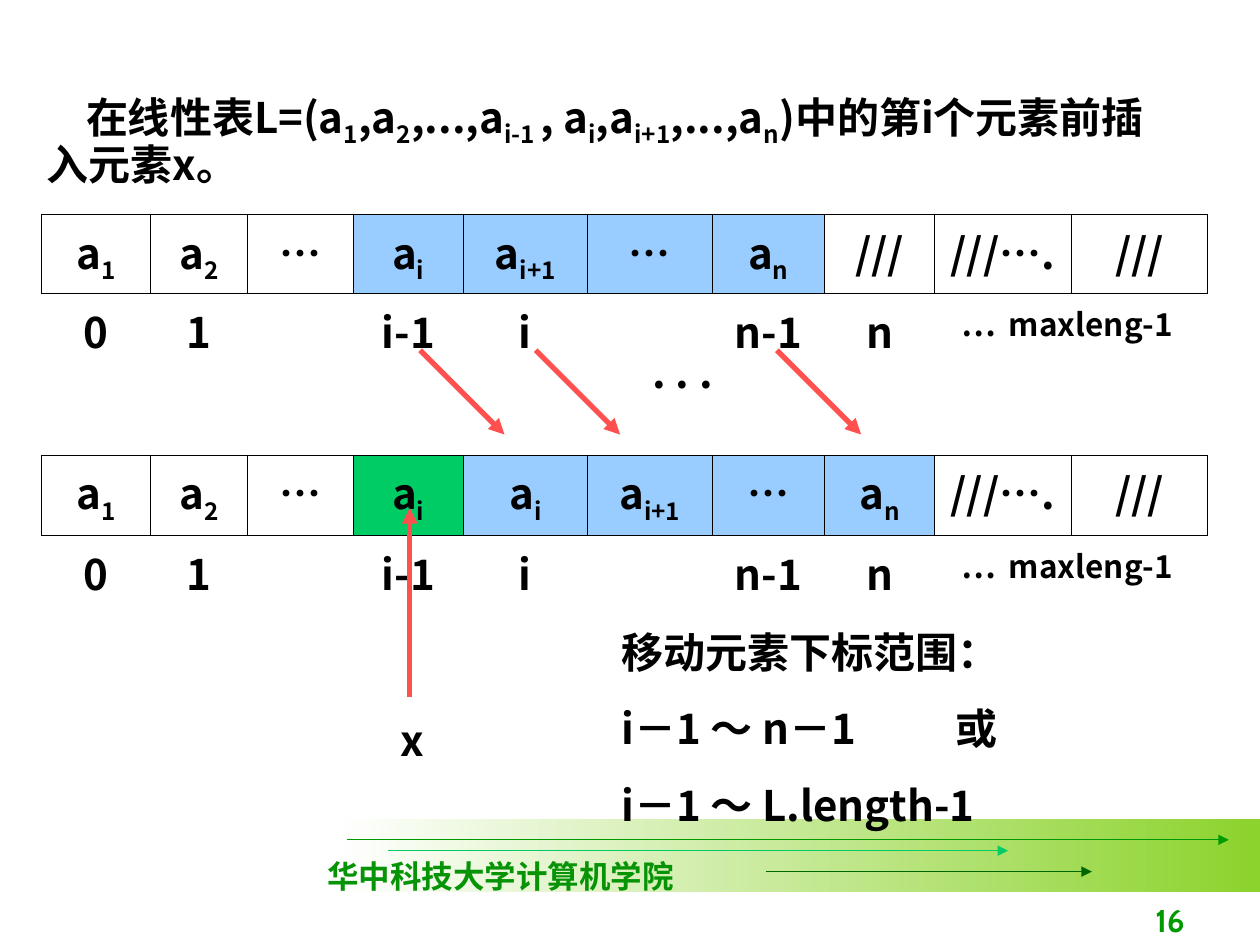
from dataclasses import dataclass
from typing import Optional

from lxml import etree
from pptx import Presentation
from pptx.dml.color import RGBColor
from pptx.enum.shapes import MSO_CONNECTOR, MSO_SHAPE
from pptx.enum.text import MSO_ANCHOR, MSO_AUTO_SIZE, PP_ALIGN
from pptx.oxml.ns import qn
from pptx.util import Cm, Pt

LEFT, MID, RIGHT = PP_ALIGN.LEFT, PP_ALIGN.CENTER, PP_ALIGN.RIGHT
TOP, LOW = MSO_ANCHOR.TOP, MSO_ANCHOR.BOTTOM
STRAIGHT, RECT = MSO_CONNECTOR.STRAIGHT, MSO_SHAPE.RECTANGLE
FIXED = MSO_AUTO_SIZE.NONE

SANS = "Noto Sans CJK SC"
BLACK, WHITE, BLUE, GREEN, RED = "000000", "FFFFFF", "99CCFF", "00CC66", "FF5050"


@dataclass
class Arrow:
    x1: float
    y1: float
    x2: float
    y2: float
    color: str = RED
    width: float = 3


@dataclass
class Style:
    size: float = 24
    color: str = BLACK
    face: str = SANS
    align: PP_ALIGN = LEFT
    tab: Optional[float] = None


@dataclass
class Note:
    box: tuple
    lines: list
    style: Style
    anchor: MSO_ANCHOR = TOP
    wrap: bool = True


@dataclass
class Array:
    top: float
    heights: tuple
    items: list
    fills: list


def rgb(code: str) -> RGBColor:
    return RGBColor.from_string(code)


def put(obj, values: dict) -> None:
    for name, value in values.items():
        setattr(obj, name, value)


def write(para, text: str, style: Style) -> None:
    """Fill a paragraph; every second part between bars is a subscript."""
    para.alignment = style.align
    if style.tab is not None:
        stops = etree.SubElement(para._p.get_or_add_pPr(), qn("a:tabLst"))
        etree.SubElement(stops, qn("a:tab"), pos=str(Cm(style.tab)), algn="l")
    for n, part in enumerate(text.split("|")):
        if not part:
            continue
        run = para.add_run()
        run.text = part
        put(run.font, {"size": Pt(style.size), "bold": True, "name": style.face})
        run.font.color.rgb = rgb(style.color)
        props = run._r.get_or_add_rPr()
        etree.SubElement(props, qn("a:ea"), typeface=SANS)
        if n % 2:
            props.set("baseline", "-25000")


def place(shape, box: tuple) -> None:
    put(shape, dict(zip(("left", "top", "width", "height"), map(Cm, box))))


def add_note(slide, note: Note) -> None:
    frame = slide.shapes.add_textbox(*map(Cm, note.box)).text_frame
    put(frame, {"word_wrap": note.wrap, "vertical_anchor": note.anchor})
    for n, line in enumerate(note.lines):
        para = frame.add_paragraph() if n else frame.paragraphs[0]
        if n:
            para.space_before = Pt(15)
        write(para, line, note.style)


def add_arrow(slide, arrow: Arrow) -> None:
    ends = map(Cm, (arrow.x1, arrow.y1, arrow.x2, arrow.y2))
    line = slide.shapes.add_connector(STRAIGHT, *ends)
    line.line.color.rgb = rgb(arrow.color)
    line.line.width = Pt(arrow.width)
    etree.SubElement(line.line._get_or_add_ln(), qn("a:tailEnd"), type="triangle")
    etree.SubElement(line._element.spPr, qn("a:effectLst"))


def edge(cell, drawn: str) -> None:
    """Draw the named sides of a cell and clear the others."""
    props = cell._tc.get_or_add_tcPr()
    for n, side in enumerate("LRTB"):
        line = etree.Element(qn(f"a:ln{side}"), w=str(Pt(0.45)))
        if side in drawn:
            fill = etree.SubElement(line, qn("a:solidFill"))
            etree.SubElement(fill, qn("a:srgbClr"), val=BLACK)
        else:
            etree.SubElement(line, qn("a:noFill"))
        props.insert(n, line)


def add_array(slide, array: Array) -> None:
    size = Cm(0.84), Cm(array.top), Cm(sum(WIDTHS)), Cm(sum(array.heights))
    table = slide.shapes.add_table(2, len(WIDTHS), *size).table
    put(table, {"first_row": False, "horz_banding": False})
    for col, width in zip(table.columns, WIDTHS):
        col.width = Cm(width)
    for row, height in zip(table.rows, array.heights):
        row.height = Cm(height)
    table.cell(1, 8).merge(table.cell(1, 9))
    plain = [None] * len(WIDTHS)
    parts = (array.items, array.fills, "LRTB"), (INDEX, plain, "T")
    for r, (texts, fills, sides) in enumerate(parts):
        for c, (text, fill) in enumerate(zip(texts, fills)):
            cell = table.cell(r, c)
            if fill:
                cell.fill.solid()
                cell.fill.fore_color.rgb = rgb(fill)
            else:
                cell.fill.background()
            edge(cell, sides)
            last = "\t" in text
            if last:
                cell.margin_left = Cm(0.55)
            style = Style(size=18, tab=0.95) if last else Style(align=MID)
            write(cell.text_frame.paragraphs[0], text, style)


WIDTHS = (2.2, 1.94, 2.14, 2.22, 2.5, 2.52, 2.26, 2.22, 2.76, 2.74)
INDEX = ["0", "1", "", "i-1", "i", "", "n-1", "n", "…\tmaxleng-1", ""]
HEAD, REST = ["a|1", "a|2", "…", "a|i"], ["///….", "///"]
ARRAYS = [
    Array(4.32, (1.55, 1.62), HEAD + ["a|i+1", "…", "a|n", "///"] + REST,
          [None] * 3 + [BLUE] * 4 + [WHITE] * 3),
    Array(9.17, (1.62, 1.62), HEAD + ["a|i", "a|i+1", "…", "a|n"] + REST,
          [None] * 3 + [GREEN] + [BLUE] * 4 + [WHITE] * 2),
]
BAND = [
    Arrow(6.99, 16.93, 24.77, 16.93, "009900", 0.75),
    Arrow(7.83, 17.15, 20.32, 17.15, GREEN, 0.75),
    Arrow(15.45, 17.57, 22.01, 17.57, "006600", 0.75),
]
MOVES = [Arrow(x, 7.06, x + 1.7, 8.76) for x in (8.47, 10.8, 15.66)]
INSERT = Arrow(8.26, 14.05, 8.26, 10.24)
NOTES = [
    Note((6.35, 17.15, 7.5, 1.02), ["华中科技大学计算机学院"],
         Style(18, "069406", "Times New Roman"), wrap=False),
    Note((18.84, 17.78, 5.29, 1.27), ["16"],
         Style(18, "009900", "Cabin", RIGHT), LOW),
    Note((12.91, 6.86, 2.54, 1.28), [". . ."], Style()),
    Note((7.83, 14.28, 1.69, 1.28), ["x"], Style()),
    Note((12.28, 12.5, 12.07, 4.37),
         ["移动元素下标范围：", "i－1 ～ n－1\t或", "i－1 ～ L.length-1"],
         Style(tab=6.73)),
]
TITLE = ("在线性表L=(a|1|,a|2|,...,a|i-1 |, a|i|,a|i+1|,...,a|n|"
         ")中的第i个元素前插入元素x。")


def main() -> None:
    deck = Presentation()
    put(deck, {"slide_width": Cm(25.4), "slide_height": Cm(19.05)})
    slide = deck.slides.add_slide(deck.slide_layouts[5])

    # Footer band
    band = slide.shapes.add_shape(RECT, *map(Cm, (6.77, 16.51, 18.63, 1.48)))
    band.shadow.inherit = False
    band.line.fill.background()
    band.fill.gradient()
    band.fill.gradient_angle = 0
    for stop, color in zip(band.fill.gradient_stops, (WHITE, "8CD32D")):
        stop.color.rgb = rgb(color)
    for arrow in BAND:
        add_arrow(slide, arrow)

    # Title
    title = slide.shapes.title
    place(title, (0.69, 1.73, 23.28, 2.2))
    put(title.text_frame, {"auto_size": FIXED, "word_wrap": True,
                           "vertical_anchor": TOP})
    para = title.text_frame.paragraphs[0]
    para.line_spacing = 0.9
    write(para, TITLE, Style())
    para._p.get_or_add_pPr().set("indent", str(Cm(0.79)))

    # Arrays before and after the insertion
    for array in ARRAYS:
        add_array(slide, array)
    for arrow in MOVES + [INSERT]:
        add_arrow(slide, arrow)

    # Labels
    for note in NOTES:
        add_note(slide, note)
    deck.save("out.pptx")


if __name__ == "__main__":
    main()
